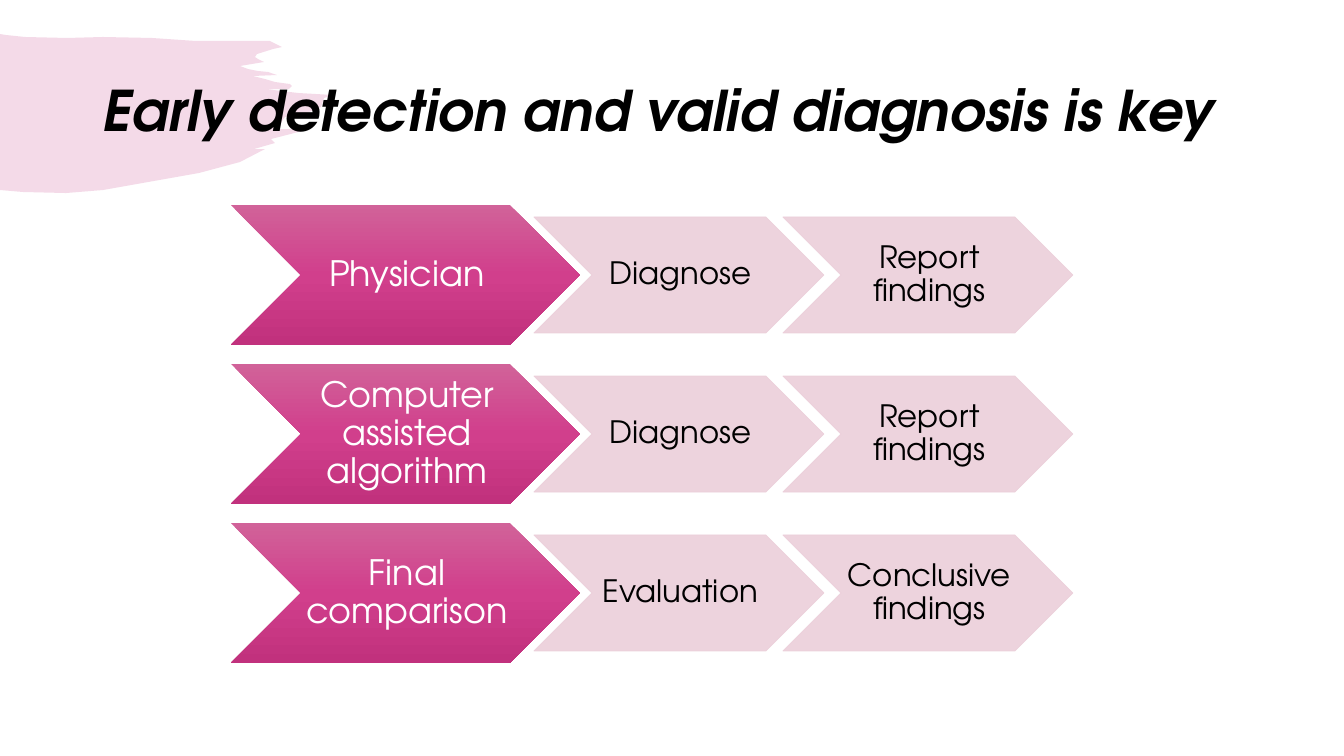
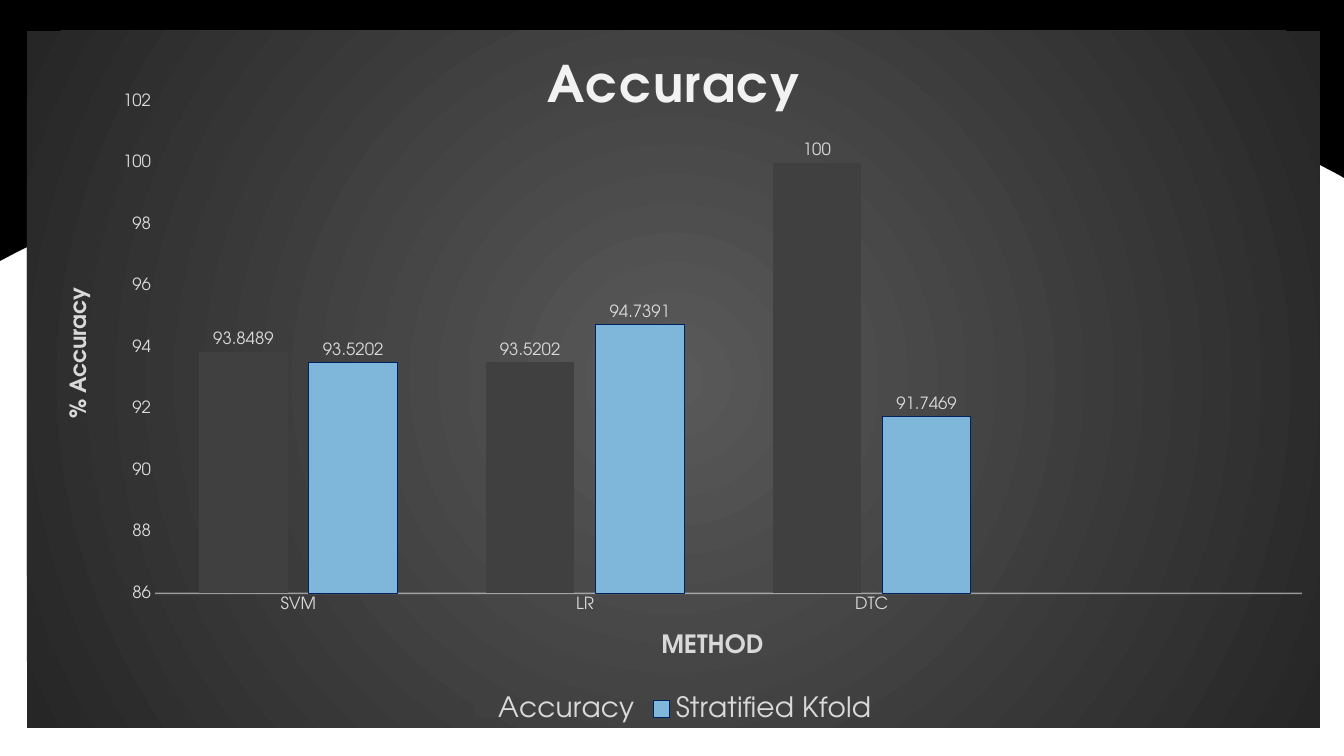
"""Build two slides on diagnosis steps and classifier accuracy."""
from dataclasses import dataclass

from pptx import Presentation
from pptx import util as u
from pptx.chart import data as chart_data
from pptx.dml import color
from pptx.enum import chart as chart_enum, shapes, text
from pptx.oxml import parse_xml
from pptx.oxml.ns import nsdecls, qn

EMU_PER_PX = 914400 / 100.8


@dataclass(frozen=True)
class Theme:
    """Colours, font and type sizes shared by the slides."""

    font: str = "TeX Gyre Adventor"
    black: str = "000000"
    white: str = "FFFFFF"
    brush: str = "CA468C"
    step: str = "ECCFDA"
    lead_stops: tuple = ((0, "D16299"), (50, "D13F8C"), (100, "C1317D"))
    chart_stops: tuple = ((0, "595959"), (100, "262626"))
    chart_title: str = "F2F2F2"
    chart_text: str = "D9D9D9"
    bar: str = "404040"
    bar_accent: str = "7FB7DB"
    bar_outline: str = "002060"
    title_size: int = 40
    lead_size: int = 25
    step_size: int = 22
    chart_title_size: int = 36
    legend_size: int = 20
    category_title_size: int = 18
    value_title_size: int = 16
    label_size: int = 12


THEME = Theme()

BRUSH_OUTLINE = [
    (0, 34), (6, 35), (25, 37), (67, 38), (103, 37), (152, 38), (196, 41),
    (250, 41), (270, 41), (282, 47), (273, 49), (257, 54), (255, 57),
    (258, 59), (264, 62), (240, 66), (248, 69), (258, 71), (268, 72),
    (277, 75), (253, 76), (265, 79), (275, 82), (282, 83), (290, 84),
    (292, 86), (289, 89), (265, 89), (298, 93), (333, 95), (324, 98),
    (321, 107), (309, 112), (302, 114), (285, 117), (282, 121), (280, 126),
    (276, 129), (310, 129), (271, 139), (275, 143), (254, 149), (265, 149),
    (240, 162), (199, 173), (103, 190), (66, 193), (23, 192), (0, 190),
]
TORN_BAND_OUTLINE = [
    (0, 261), (19, 251), (46, 238), (83, 223), (114, 210), (121, 217),
    (151, 208), (241, 178), (263, 165), (276, 157), (311, 151), (328, 162),
    (334, 152), (345, 157), (373, 153), (382, 151), (400, 155), (419, 166),
    (444, 176), (467, 178), (475, 198), (531, 181), (576, 192), (592, 198),
    (592, 210), (634, 193), (662, 204), (714, 187), (753, 196), (793, 187),
    (850, 201), (891, 193), (928, 204), (940, 210), (939, 198), (958, 192),
    (1010, 181), (1076, 198), (1085, 178), (1112, 176), (1139, 166),
    (1171, 153), (1187, 150), (1226, 157), (1238, 152), (1246, 162),
    (1266, 151), (1305, 157), (1320, 165), (1339, 175), (1344, 178),
    (1344, 0), (0, 0),
]
PROCESSES = [
    ("Physician", "Diagnose", "Report findings"),
    ("Computer assisted algorithm", "Diagnose", "Report findings"),
    ("Final comparison", "Evaluation", "Conclusive findings"),
]
METHODS = ["SVM", "LR", "DTC", ""]
ACCURACY = [93.8489, 93.5202, 100, None]
STRATIFIED_KFOLD = [93.5202, 94.7391, 91.7469, None]


def px(length):
    """Turn a length in px into EMU."""
    return u.Emu(round(length * EMU_PER_PX))


def rgb(value):
    """Turn a hexadecimal string into a colour."""
    return color.RGBColor.from_string(value)


def set_alpha(element, percent):
    """Make every plain colour inside an element partly transparent."""
    for colour in element.iter(qn("a:srgbClr")):
        colour.append(parse_xml(f'<a:alpha {nsdecls("a")} val="{percent * 1000}"/>'))


def gradient(stops, direction):
    """Return a gradient fill element with the given stops and direction."""
    stop_xml = "".join(
        f'<a:gs pos="{position * 1000}"><a:srgbClr val="{value}"/></a:gs>'
        for position, value in stops
    )
    return parse_xml(
        f'<a:gradFill {nsdecls("a")} rotWithShape="1">'
        f"<a:gsLst>{stop_xml}</a:gsLst>{direction}</a:gradFill>"
    )


def style_font(font, size, colour, bold=False, italic=False):
    """Apply the theme font with a size, colour and style."""
    font.name = THEME.font
    font.size = u.Pt(size)
    font.color.rgb = rgb(colour)
    font.bold = bold
    font.italic = italic


def write_text(shape, content, size, colour, align, **style):
    """Write one wrapped, vertically centred paragraph into a shape."""
    frame = shape.text_frame
    frame.word_wrap = True
    frame.vertical_anchor = text.MSO_ANCHOR.MIDDLE
    paragraph = frame.paragraphs[0]
    paragraph.text = content
    paragraph.alignment = align
    paragraph.line_spacing = 0.9
    style_font(paragraph.font, size, colour, **style)


def add_outline(slide, points, colour, alpha=100):
    """Draw a closed filled outline through points in px."""
    builder = slide.shapes.build_freeform(*points[0], scale=EMU_PER_PX)
    builder.add_line_segments(points[1:], close=True)
    shape = builder.convert_to_shape()
    shape.shadow.inherit = False
    shape.fill.solid()
    shape.fill.fore_color.rgb = rgb(colour)
    shape.line.fill.background()
    if alpha < 100:
        set_alpha(shape._element.spPr, alpha)


def add_title(slide, content):
    """Add the bold italic slide title."""
    box = slide.shapes.add_textbox(px(93), px(40), px(1159), px(146))
    write_text(box, content, THEME.title_size, THEME.black,
               text.PP_ALIGN.LEFT, bold=True, italic=True)


def add_chevron(slide, left, top, width, height, content, size, colour):
    """Add a chevron with centred text and return it."""
    shape = slide.shapes.add_shape(
        shapes.MSO_SHAPE.CHEVRON, px(left), px(top), px(width), px(height))
    shape.shadow.inherit = False
    write_text(shape, content, size, colour, text.PP_ALIGN.CENTER)
    frame = shape.text_frame
    frame.margin_left, frame.margin_right = px(3), px(0)
    frame.margin_top = frame.margin_bottom = px(2)
    return shape


def add_lead(slide, top, content):
    """Add the large gradient chevron that opens a row."""
    shape = add_chevron(slide, 231, top, 349, 140, content,
                        THEME.lead_size, THEME.white)
    shape.line.fill.background()
    properties = shape._element.spPr
    properties.find(qn("a:prstGeom")).addnext(
        gradient(THEME.lead_stops, '<a:lin ang="5400000" scaled="0"/>'))


def add_step(slide, left, top, content):
    """Add a pale chevron for one step of a row."""
    shape = add_chevron(slide, left, top, 290, 116, content,
                        THEME.step_size, THEME.black)
    shape.fill.solid()
    shape.fill.fore_color.rgb = rgb(THEME.step)
    shape.line.color.rgb = rgb(THEME.step)
    shape.line.width = u.Pt(0.5)
    set_alpha(shape._element.spPr, 90)


def style_axis(axis, title, title_size):
    """Give an axis its title, label font and plain look."""
    axis.has_major_gridlines = False
    axis.major_tick_mark = chart_enum.XL_TICK_MARK.NONE
    axis.minor_tick_mark = chart_enum.XL_TICK_MARK.NONE
    style_font(axis.tick_labels.font, THEME.label_size, THEME.chart_text)
    write_chart_title(axis.axis_title, title, title_size, THEME.chart_text)


def write_chart_title(title, content, size, colour):
    """Write a bold title of a chart or axis and return its paragraph."""
    paragraph = title.text_frame.paragraphs[0]
    paragraph.text = content
    style_font(paragraph.font, size, colour, bold=True)
    return paragraph


def style_series(series, fill, outline=None):
    """Colour a series and show its values above the bars."""
    series.format.fill.solid()
    series.format.fill.fore_color.rgb = rgb(fill)
    series.invert_if_negative = False
    if outline:
        series.format.line.color.rgb = rgb(outline)
        series.format.line.width = u.Pt(0.75)
    else:
        series.format.line.fill.background()
    labels = series.data_labels
    labels.show_value = True
    labels.position = chart_enum.XL_LABEL_POSITION.OUTSIDE_END
    style_font(labels.font, THEME.label_size, THEME.chart_text)


def style_chart_area(chart):
    """Fill the chart with a radial gradient and fix the plot position."""
    area = parse_xml(f'<c:spPr {nsdecls("c", "a")}><a:ln><a:noFill/></a:ln></c:spPr>')
    area.insert(0, gradient(
        THEME.chart_stops,
        '<a:path path="circle">'
        '<a:fillToRect l="50000" t="50000" r="50000" b="50000"/></a:path>'))
    chart._chartSpace.find(qn("c:chart")).addnext(area)
    plot_area = chart._chartSpace.find(qn("c:chart")).find(qn("c:plotArea"))
    for old_layout in plot_area.findall(qn("c:layout")):
        plot_area.remove(old_layout)
    plot_area.insert(0, parse_xml(
        f'<c:layout {nsdecls("c")}><c:manualLayout><c:layoutTarget val="inner"/>'
        '<c:xMode val="edge"/><c:yMode val="edge"/><c:x val="0.099"/>'
        '<c:y val="0.101"/><c:w val="0.887"/><c:h val="0.706"/>'
        "</c:manualLayout></c:layout>"))


def add_accuracy_chart(slide):
    """Add the clustered column chart of accuracy by method."""
    values = chart_data.CategoryChartData()
    values.categories = METHODS
    values.add_series("Accuracy", ACCURACY)
    values.add_series("Stratified Kfold", STRATIFIED_KFOLD)
    chart = slide.shapes.add_chart(
        chart_enum.XL_CHART_TYPE.COLUMN_CLUSTERED,
        px(27), px(31), px(1293), px(697), values).chart
    style_font(chart.font, THEME.label_size, THEME.chart_text)
    style_chart_area(chart)
    chart.has_title = True
    heading = write_chart_title(chart.chart_title, "Accuracy",
                                THEME.chart_title_size, THEME.chart_title)
    heading.font._element.set("spc", "100")
    chart.has_legend = True
    chart.legend.position = chart_enum.XL_LEGEND_POSITION.BOTTOM
    chart.legend.include_in_layout = False
    style_font(chart.legend.font, THEME.legend_size, THEME.chart_text)
    plot = chart.plots[0]
    plot.gap_width, plot.overlap = 100, -24
    plot.vary_by_categories = False
    style_series(plot.series[0], THEME.bar)
    style_series(plot.series[1], THEME.bar_accent, THEME.bar_outline)
    category_axis, value_axis = chart.category_axis, chart.value_axis
    style_axis(category_axis, "METHOD", THEME.category_title_size)
    category_axis.format.line.color.rgb = rgb(THEME.chart_title)
    category_axis.format.line.width = u.Pt(1)
    set_alpha(category_axis._element.find(qn("c:spPr")), 54)
    style_axis(value_axis, "% Accuracy", THEME.value_title_size)
    value_axis.format.line.fill.background()
    value_axis.minimum_scale, value_axis.maximum_scale = 86, 102
    value_axis.major_unit = 2


def build_process_slide(slide):
    """Build the slide with three rows of chevrons."""
    add_outline(slide, BRUSH_OUTLINE, THEME.brush, alpha=20)
    add_title(slide, "Early detection and valid diagnosis is key")
    for row, (lead, *steps) in enumerate(PROCESSES):
        top = 205 + row * 159
        add_lead(slide, top, lead)
        for column, step in enumerate(steps):
            add_step(slide, 534 + column * 249, top + 12, step)


def build_accuracy_slide(slide):
    """Build the slide with the torn band and the chart."""
    add_outline(slide, TORN_BAND_OUTLINE, THEME.black)
    add_accuracy_chart(slide)


def main():
    """Create the presentation and save it."""
    presentation = Presentation()
    presentation.slide_width, presentation.slide_height = px(1344), px(756)
    for build in (build_process_slide, build_accuracy_slide):
        build(presentation.slides.add_slide(presentation.slide_layouts[6]))
    presentation.save("out.pptx")


if __name__ == "__main__":
    main()
